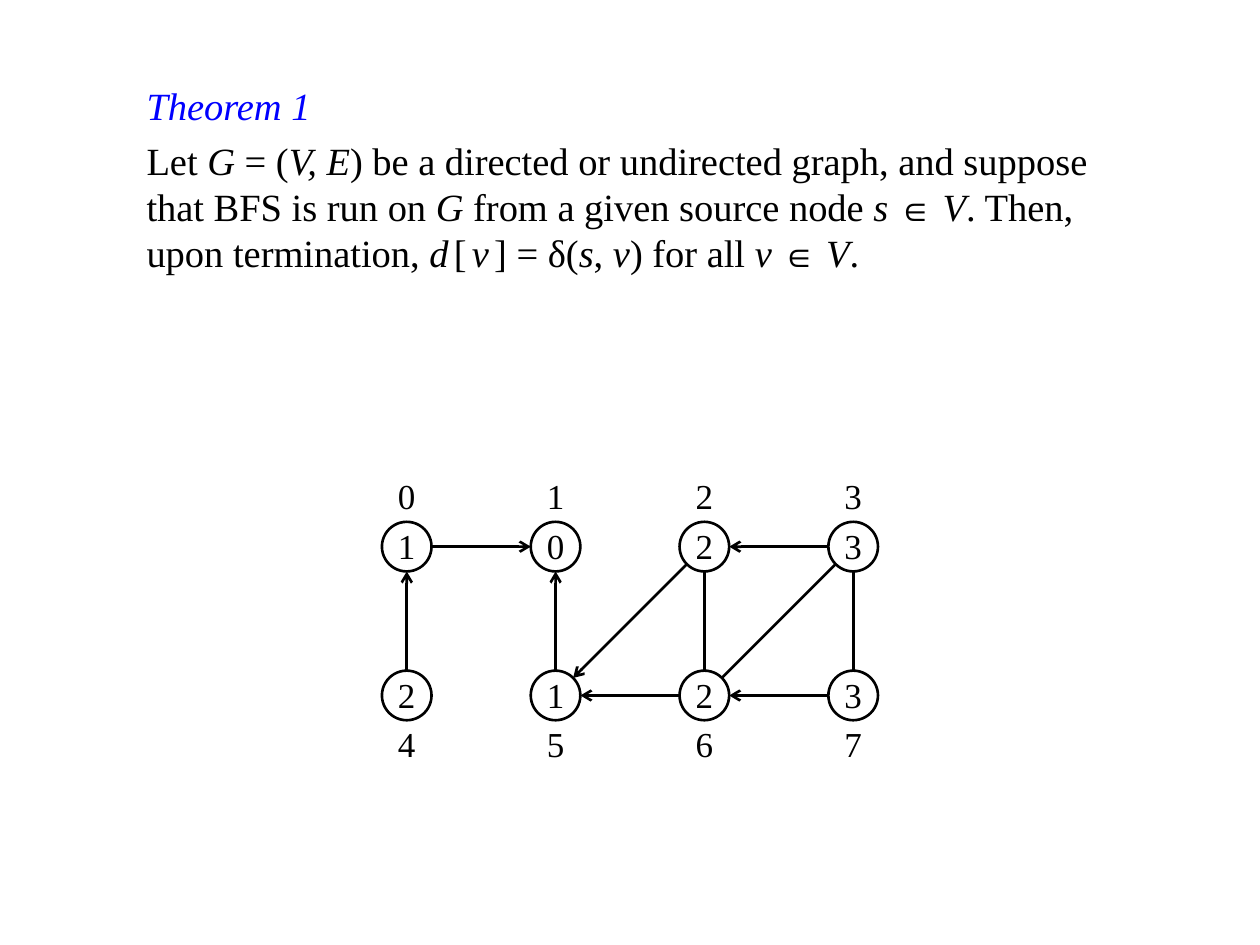
from dataclasses import dataclass
from math import hypot

from lxml import etree
from pptx import Presentation
from pptx import util as u
from pptx.dml.color import RGBColor
from pptx.enum import shapes, text
from pptx.oxml import ns


@dataclass(frozen=True)
class Theme:
    font: str = "Times New Roman"
    ink: RGBColor = RGBColor(0, 0, 0)
    paper: RGBColor = RGBColor(255, 255, 255)
    heading: RGBColor = RGBColor(0, 0, 255)
    body_size: int = 22
    small_size: int = 20
    line_width: float = 1.5
    loose: int = 300


THEME = Theme()

STATEMENT = [
    ("Let ", ""), ("G ", "i"), ("= (", ""), ("V, E", "i"),
    (") be a directed or undirected graph, and suppose that BFS is run on ", ""),
    ("G", "i"), (" from a given source node ", ""), ("s ", "i"), ("∈", "small"),
    (" ", ""), ("V", "i"), (". Then, upon termination, ", ""),
    ("d", "i loose"), ("[", "loose"), ("v", "i loose"), ("] = δ(", ""),
    ("s", "i"), (", ", ""), ("v", "i"), (") for all ", ""), ("v ", "i"),
    ("∈", "small"), (" ", ""), ("V", "i"), (".", ""),
]
DISTANCES = [1, 0, 2, 3, 2, 1, 2, 3]
COLUMNS = 4
DIRECTED = [(4, 0), (0, 1), (5, 1), (2, 5), (6, 5), (3, 2), (7, 6)]
UNDIRECTED = [(2, 6), (3, 6), (3, 7)]


def add_span(para, words, size, color=THEME.ink, style=""):
    span = para.add_run()
    span.text = words
    font = span.font
    font.name, font.size = THEME.font, u.Pt(size)
    font.color.rgb = color
    font.italic = "i" in style.split()
    if "loose" in style:
        span._r.get_or_add_rPr().set("spc", str(THEME.loose))


def remove_bullet(para):
    properties = para._p.get_or_add_pPr()
    properties.set("marL", "0")
    properties.set("indent", "0")
    etree.SubElement(properties, ns.qn("a:buNone"))


def place_theorem(page, left, top, width, height):
    box = page.placeholders[1]
    box.left, box.top, box.width, box.height = left, top, width, height
    frame = box.text_frame
    frame.word_wrap = True
    frame.auto_size = text.MSO_AUTO_SIZE.NONE
    frame.vertical_anchor = text.MSO_ANCHOR.TOP
    heading, statement = frame.paragraphs[0], frame.add_paragraph()
    for para, gap in ((heading, 0), (statement, 5)):
        remove_bullet(para)
        para.alignment = text.PP_ALIGN.LEFT
        para.space_before = u.Pt(gap)
    add_span(heading, "Theorem 1", THEME.body_size, THEME.heading, "i")
    for words, style in STATEMENT:
        size = THEME.small_size if style == "small" else THEME.body_size
        add_span(statement, words, size, style=style)


def write_number(box, number, above, below):
    frame = box.text_frame
    frame.word_wrap = False
    frame.vertical_anchor = text.MSO_ANCHOR.MIDDLE
    frame.margin_top, frame.margin_bottom = u.Cm(above), u.Cm(below)
    para = frame.paragraphs[0]
    para.alignment = text.PP_ALIGN.CENTER
    add_span(para, str(number), THEME.small_size)


def add_node(page, left, top, size, number):
    node = page.shapes.add_shape(shapes.MSO_SHAPE.OVAL, left, top, size, size)
    node.shadow.inherit = False
    node.fill.solid()
    node.fill.fore_color.rgb = THEME.paper
    node.line.color.rgb = THEME.ink
    node.line.width = u.Pt(THEME.line_width)
    write_number(node, number, 0, 0.05)


def add_edge(page, start, end, radius, directed):
    across, down = end[0] - start[0], end[1] - start[1]
    share = radius / hypot(across, down)
    trim_x, trim_y = round(across * share), round(down * share)
    edge = page.shapes.add_connector(
        shapes.MSO_CONNECTOR.STRAIGHT,
        start[0] + trim_x, start[1] + trim_y, end[0] - trim_x, end[1] - trim_y,
    )
    edge.line.color.rgb = THEME.ink
    edge.line.width = u.Pt(THEME.line_width)
    if directed:
        etree.SubElement(edge.line._get_or_add_ln(), ns.qn("a:tailEnd"), type="arrow")
    etree.SubElement(edge._element.spPr, ns.qn("a:effectLst"))


def place_graph(page, left, top, width, height):
    size = height // 6
    pitch = (width - size) // (COLUMNS - 1)
    radius = size // 2
    centres = []
    for index, distance in enumerate(DISTANCES):
        row, column = divmod(index, COLUMNS)
        node_left, node_top = left + column * pitch, top + size + row * pitch
        centres.append((node_left + radius, node_top + radius))
        add_node(page, node_left, node_top, size, distance)
        label_top = node_top + (size if row else -size)
        label = page.shapes.add_textbox(node_left, label_top, size, size)
        write_number(label, index, 0.1, 0.15)
    for edges, directed in ((DIRECTED, True), (UNDIRECTED, False)):
        for start, end in edges:
            add_edge(page, centres[start], centres[end], radius, directed)


def main():
    deck = Presentation()
    deck.slide_width, deck.slide_height = u.Cm(25.4), u.Cm(19.05)
    page = deck.slides.add_slide(deck.slide_layouts.get_by_name("Title and Content"))
    title = page.shapes.title.element
    title.getparent().remove(title)
    place_theorem(page, u.Cm(2.7), u.Cm(1.52), u.Cm(20), u.Cm(4.5))
    place_graph(page, u.Cm(7.7), u.Cm(9.52), u.Cm(10), u.Cm(6))
    deck.save("out.pptx")


if __name__ == "__main__":
    main()
